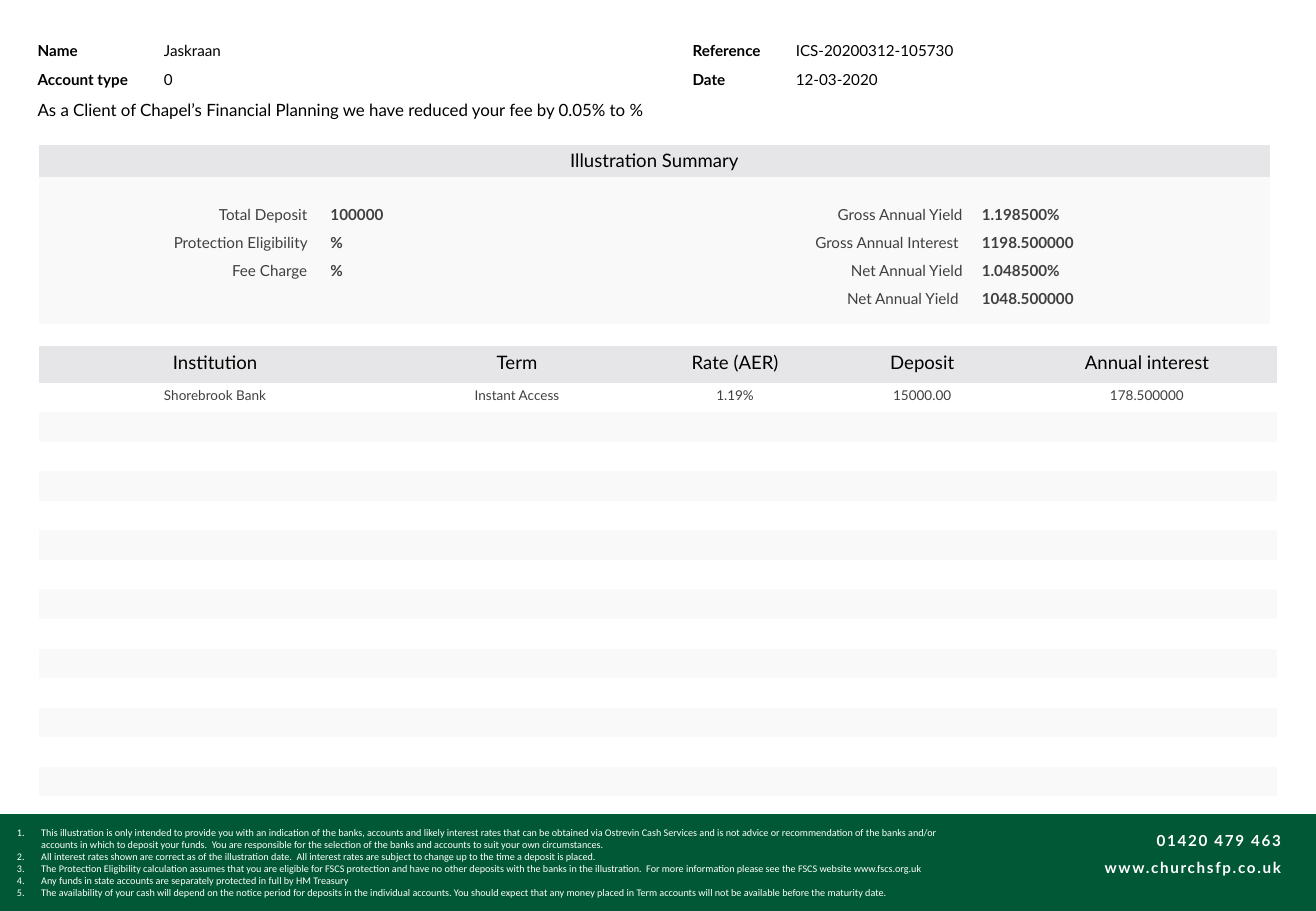
from pptx import Presentation
from pptx.dml.color import RGBColor
from pptx.enum.shapes import MSO_SHAPE
from pptx.enum.text import MSO_ANCHOR, PP_ALIGN
from pptx.oxml.ns import qn
from pptx.util import Inches, Pt
from lxml.etree import SubElement

COLORS = {"green": "005836", "white": "FFFFFF", "black": "000000",
          "text": "404040", "head": "E6E6E8", "band": "F9F9F9"}
PLAIN = "{2D5ABB26-0587-4C30-8999-92F81FD0307C}"  # no style, no grid

deck = Presentation()
deck.slide_width, deck.slide_height = Inches(10.83), Inches(7.5)
slide = deck.slides.add_slide(deck.slide_layouts[6])


def add_grid(left, top, cols, rows, pad):
    frame = slide.shapes.add_table(len(rows), len(cols), Inches(left), Inches(top),
                                   Inches(sum(cols)), Inches(sum(rows)))
    grid = frame.table
    grid.first_row = grid.horz_banding = False
    grid._tbl.tblPr.find(qn("a:tableStyleId")).text = PLAIN
    for col, width in zip(grid.columns, cols):
        col.width = Inches(width)
    for row, height in zip(grid.rows, rows):
        row.height = Inches(height)
    for cell in grid.iter_cells():
        cell.margin_left = cell.margin_right = Inches(pad[0])
        cell.margin_top = cell.margin_bottom = Inches(pad[1])
        cell.fill.background()
        # Keep empty rows from growing
        cell.text_frame.paragraphs[0]._p.get_or_add_endParaRPr().set("sz", "100")
    return grid


def write(para, text, size, color, bold=False, align=PP_ALIGN.LEFT, face="Lato"):
    para.text = text
    para.alignment = align
    for run in para.runs:
        run.font.name = face
        run.font.size = Pt(size)
        run.font.bold = bold
        run.font.color.rgb = RGBColor.from_string(COLORS[color])


# Footer band
band = slide.shapes.add_shape(MSO_SHAPE.RECTANGLE, 0, Inches(6.71),
                              Inches(10.83), Inches(0.79))
band.shadow.inherit = False
band.fill.solid()
band.fill.fore_color.rgb = RGBColor.from_string(COLORS["green"])
band.line.color.rgb = RGBColor.from_string(COLORS["green"])
band.line.width = Pt(1)

# Footer notes
notes = [
    "This illustration is only intended to provide you with an indication of the banks, accounts and likely interest rates that can be obtained via Ostrevin Cash Services and is not advice or recommendation of the banks and/or \vaccounts in which to deposit your funds.  You are responsible for the selection of the banks and accounts to suit your own circumstances.",
    "All interest rates shown are correct as of the illustration date.  All interest rates are subject to change up to the time a deposit is placed.",
    "The Protection Eligibility calculation assumes that you are eligible for FSCS protection and have no other deposits with the banks in the illustration.  For more information please see the FSCS website www.fscs.org.uk",
    "Any funds in state accounts are separately protected in full by HM Treasury",
    "The availability of your cash will depend on the notice period for deposits in the individual accounts. You should expect that any money placed in Term accounts will not be available before the maturity date.",
]
box = slide.shapes.add_textbox(Inches(0.11), Inches(6.77), Inches(8.57), Inches(0.67))
frame = box.text_frame
frame.word_wrap = True
frame.margin_left = frame.margin_right = Inches(0.03)
frame.margin_top = frame.margin_bottom = Inches(0.03)
for i, note in enumerate(notes):
    para = frame.paragraphs[0] if i == 0 else frame.add_paragraph()
    props = para._p.get_or_add_pPr()
    props.set("marL", str(Inches(0.2)))
    props.set("indent", str(Inches(-0.2)))
    SubElement(props, qn("a:buFont"), typeface="+mj-lt")
    SubElement(props, qn("a:buAutoNum"), type="arabicPeriod")
    write(para, note, 6, "white", face="Calibri")

# Client details
client = [
    ["Name", "Jaskraan", "Reference", "ICS-20200312-105730"],
    ["Account type", "0", "Date", "12-03-2020"],
    ["As a Client of Chapel’s Financial Planning we have reduced your fee by 0.05% to %"],
]
grid = add_grid(0.28, 0.28, [1.04, 4.35, 0.85, 2.03], [0.23] * 3, (0.03, 0.03))
grid.cell(2, 0).merge(grid.cell(2, 2))
for r, row in enumerate(client):
    for c, text in enumerate(row):
        cell = grid.cell(r, c)
        cell.vertical_anchor = MSO_ANCHOR.MIDDLE
        para = cell.text_frame.paragraphs[0]
        para.line_spacing = 1.19
        para.space_after = Pt(3)
        write(para, text, 10 if r == 2 else 9, "black", r < 2 and c % 2 == 0)

# Deposit table
deposits = [
    ["Institution", "Term", "Rate (AER)", "Deposit", "Annual interest"],
    ["Shorebrook Bank", "Instant Access", "1.19%", "15000.00", "178.500000"],
]
count = 14
grid = add_grid(0.32, 2.85, [2.9, 2.07, 1.52, 1.56, 2.14],
                [0.3] + [(3.71 - 0.3) / count] * count, (0.08, 0.04))
for r in range(0, count + 1, 2):
    for c in range(5):
        fill = grid.cell(r, c).fill
        fill.solid()
        fill.fore_color.rgb = RGBColor.from_string(COLORS["band" if r else "head"])
for r, row in enumerate(deposits):
    for c, text in enumerate(row):
        write(grid.cell(r, c).text_frame.paragraphs[0], text, 8 if r else 11,
              "text" if r else "black", align=PP_ALIGN.CENTER)

# Illustration summary
summary = [
    ["Total Deposit ", "100000", "Gross Annual Yield", "1.198500%"],
    ["Protection Eligibility ", "%", "Gross Annual Interest ", "1198.500000"],
    ["Fee Charge ", "%", "Net Annual Yield", "1.048500%"],
    ["", "", "Net Annual Yield ", "1048.500000"],
]
grid = add_grid(0.32, 1.19, [2.32, 2.56, 2.8, 2.45],
                [0.27, 0.19] + [0.23] * 4 + [0.1], (0.08, 0.04))
for i, cell in enumerate(grid.iter_cells()):
    cell.fill.solid()
    cell.fill.fore_color.rgb = RGBColor.from_string(COLORS["head" if i < 4 else "band"])
grid.cell(0, 0).merge(grid.cell(0, 3))
write(grid.cell(0, 0).text_frame.paragraphs[0], "Illustration Summary", 11, "black",
      align=PP_ALIGN.CENTER)
for r, row in enumerate(summary, 2):
    for c, text in enumerate(row):
        if text:
            value = c % 2 == 1
            write(grid.cell(r, c).text_frame.paragraphs[0], text, 9, "text", value,
                  PP_ALIGN.LEFT if value else PP_ALIGN.RIGHT)

# Contact details
box = slide.shapes.add_textbox(Inches(8.03), Inches(6.72), Inches(2.61), Inches(0.53))
frame = box.text_frame
frame.word_wrap = True
for i, text in enumerate(["01420 479 463", "www.churchsfp.co.uk"]):
    para = frame.paragraphs[0] if i == 0 else frame.add_paragraph()
    para.line_spacing = 1.5
    write(para, text, 9, "white", True, PP_ALIGN.RIGHT)
    para.runs[0].font._element.set("spc", "100")

deck.save("out.pptx")
